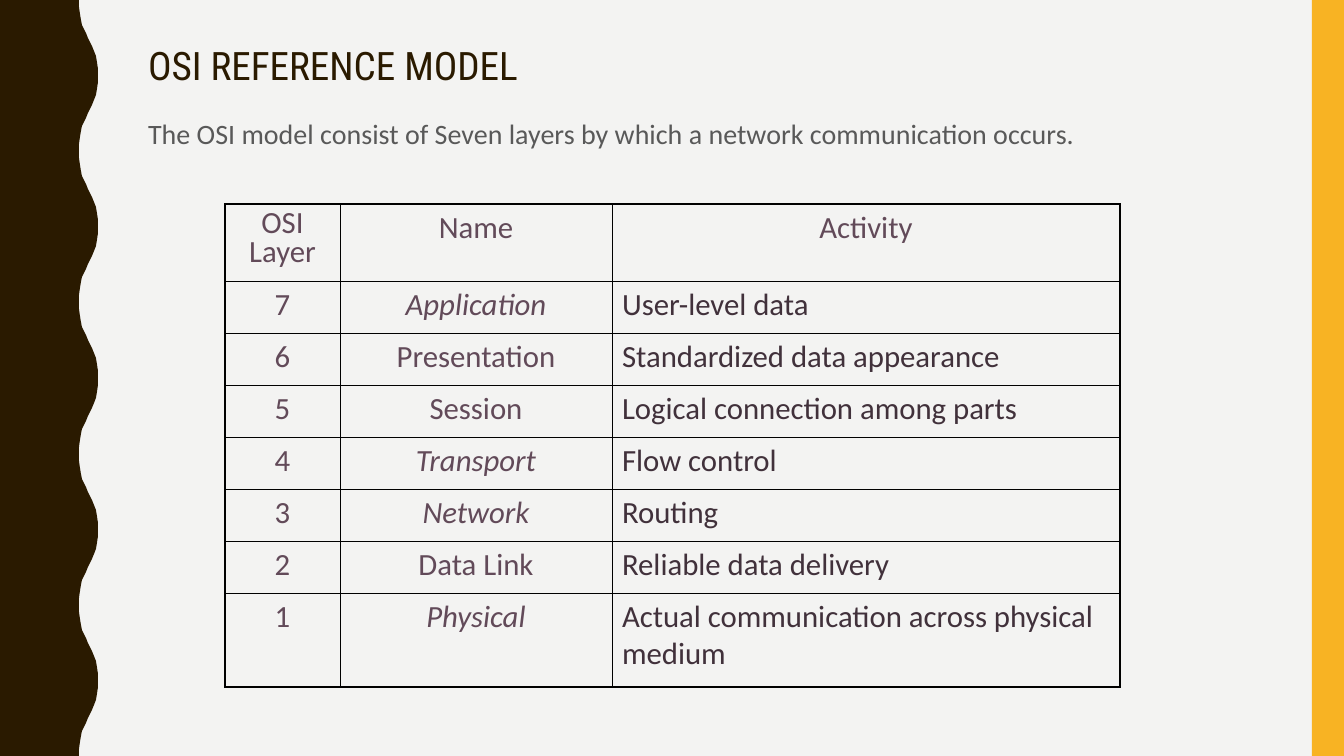
from dataclasses import dataclass

from lxml.etree import SubElement
from pptx import Presentation
from pptx.dml.color import RGBColor
from pptx.enum.shapes import MSO_SHAPE
from pptx.enum.text import MSO_ANCHOR, MSO_AUTO_SIZE, PP_ALIGN
from pptx.oxml.ns import qn
from pptx.util import Pt

PX = 9072
SLIDE_W, SLIDE_H = 1344, 756


@dataclass(frozen=True)
class Theme:
    """Colours, fonts, type sizes and line widths of the slide."""
    paper: str = "F3F3F2"
    brown: str = "2A1A00"
    amber: str = "F8B323"
    grey: str = "595959"
    plum: str = "624A59"
    dark_plum: str = "41313B"
    rule: str = "000000"
    title_font: str = "Roboto Condensed"
    body_font: str = "Calibri"
    title_size: int = 28
    lead_size: int = 20
    table_size: int = 22
    outer_rule: float = 1.08
    inner_rule: float = 0.45


THEME = Theme()

HALF_WAVE = [(0, 0), (0, 7), (1, 14), (2, 20), (3, 25), (5, 29), (7, 33), (9, 38),
             (11, 42), (13, 46), (15, 51), (17, 56), (18, 62), (19, 69), (19, 76)]
WAVE_COUNT = 5

COLUMN_WIDTHS = [115, 272, 508]
ROW_HEIGHTS = [77] + [52] * 6 + [94]
HEADINGS = ("OSI Layer", "Name", "Activity")
LAYERS = [
    ("7", "Application", "User-level data"),
    ("6", "Presentation", "Standardized data appearance"),
    ("5", "Session", "Logical connection among parts"),
    ("4", "Transport", "Flow control"),
    ("3", "Network", "Routing"),
    ("2", "Data Link", "Reliable data delivery"),
    ("1", "Physical", "Actual communication across physical medium"),
]
ITALIC_NAMES = {"Application", "Transport", "Network", "Physical"}


def emu(*lengths):
    """Turn px lengths into whole EMU."""
    return [round(length * PX) for length in lengths]


def paint(shape, colour):
    """Give a shape a flat fill with no outline or shadow."""
    shape.fill.solid()
    shape.fill.fore_color.rgb = RGBColor.from_string(colour)
    shape.line.fill.background()
    shape.shadow.inherit = False


def style(paragraph, font, size, colour, align=PP_ALIGN.LEFT, spacing=1.0, italic=False):
    """Format a whole paragraph."""
    paragraph.alignment = align
    paragraph.line_spacing = spacing
    paragraph.space_before = Pt(0)
    paragraph.font.name = font
    paragraph.font.size = Pt(size)
    paragraph.font.italic = italic
    paragraph.font.color.rgb = RGBColor.from_string(colour)


def add_wave_band(slide, left, top, width, height):
    """Draw the band whose right edge waves inside the given box."""
    period = height / WAVE_COUNT
    trough = left + width - HALF_WAVE[-1][0]
    edge = []
    for wave in range(WAVE_COUNT):
        start = top + wave * period
        edge += [(trough + x, start + y) for x, y in HALF_WAVE]
        edge += [(trough + x, start + period - y) for x, y in reversed(HALF_WAVE)]
    outline = slide.shapes.build_freeform(left, top, scale=PX)
    outline.add_line_segments(edge + [(left, top + height)], close=True)
    paint(outline.convert_to_shape(), THEME.brown)


def add_side_bar(slide, *box):
    """Draw the plain bar in the given box."""
    paint(slide.shapes.add_shape(MSO_SHAPE.RECTANGLE, *emu(*box)), THEME.amber)


def fill_placeholder(placeholder, text, left, top, width, height):
    """Move a placeholder to a box, set its text and return the paragraph."""
    placeholder.left, placeholder.top, placeholder.width, placeholder.height = emu(
        left, top, width, height)
    frame = placeholder.text_frame
    frame.text = text
    frame.word_wrap = True
    frame.auto_size = MSO_AUTO_SIZE.NONE
    frame.vertical_anchor = MSO_ANCHOR.TOP
    return frame.paragraphs[0]


def add_heading(slide, left, top, width, height):
    """Place the title and the lead sentence below it."""
    title_height = 66
    title = fill_placeholder(slide.shapes.title, "OSI REFERENCE MODEL",
                             left, top, width, title_height)
    style(title, THEME.title_font, THEME.title_size, THEME.brown, spacing=0.9)
    lead = fill_placeholder(
        slide.placeholders[1],
        "The OSI model consist of Seven layers by which a network communication occurs.",
        left, top + title_height, width, height - title_height)
    properties = lead._p.get_or_add_pPr()
    properties.set("marL", "0")
    properties.set("indent", "0")
    SubElement(properties, qn("a:buNone"))
    style(lead, THEME.body_font, THEME.lead_size, THEME.grey, spacing=1.1)


def rule_cell(cell, outer_sides):
    """Rule all four sides of a cell, heavier on the table's outer sides."""
    properties = cell._tc.get_or_add_tcPr()
    for side in "LRTB":
        weight = THEME.outer_rule if side in outer_sides else THEME.inner_rule
        line = SubElement(properties, qn(f"a:ln{side}"), w=str(Pt(weight)))
        SubElement(SubElement(line, qn("a:solidFill")), qn("a:srgbClr"), val=THEME.rule)
    cell.fill.background()


def add_layer_table(slide, left, top):
    """Place the table of layers with its corner at the given point."""
    rows = [HEADINGS] + LAYERS
    table = slide.shapes.add_table(
        len(rows), len(HEADINGS),
        *emu(left, top, sum(COLUMN_WIDTHS), sum(ROW_HEIGHTS))).table
    table.first_row = table.horz_banding = False
    for column, width in zip(table.columns, emu(*COLUMN_WIDTHS)):
        column.width = width
    for row, height in zip(table.rows, emu(*ROW_HEIGHTS)):
        row.height = height
    for r, texts in enumerate(rows):
        for c, text in enumerate(texts):
            cell = table.cell(r, c)
            cell.text = text
            is_activity = r > 0 and c == 2
            style(cell.text_frame.paragraphs[0], THEME.body_font, THEME.table_size,
                  THEME.dark_plum if is_activity else THEME.plum,
                  align=PP_ALIGN.LEFT if is_activity else PP_ALIGN.CENTER,
                  spacing=0.8 if r == c == 0 else 1.0,
                  italic=text in ITALIC_NAMES)
            edges = {"L": c == 0, "R": c == len(texts) - 1,
                     "T": r == 0, "B": r == len(rows) - 1}
            rule_cell(cell, {side for side, outer in edges.items() if outer})


def main():
    """Build the slide and save it."""
    deck = Presentation()
    deck.slide_width, deck.slide_height = emu(SLIDE_W, SLIDE_H)
    slide = deck.slides.add_slide(deck.slide_layouts[1])
    slide.background.fill.solid()
    slide.background.fill.fore_color.rgb = RGBColor.from_string(THEME.paper)
    add_wave_band(slide, 0, 0, 98, SLIDE_H)
    add_side_bar(slide, 1312, 0, 32, SLIDE_H)
    add_heading(slide, 138, 42, 1122, 606)
    add_layer_table(slide, 225, 204)
    deck.save("out.pptx")


if __name__ == "__main__":
    main()
